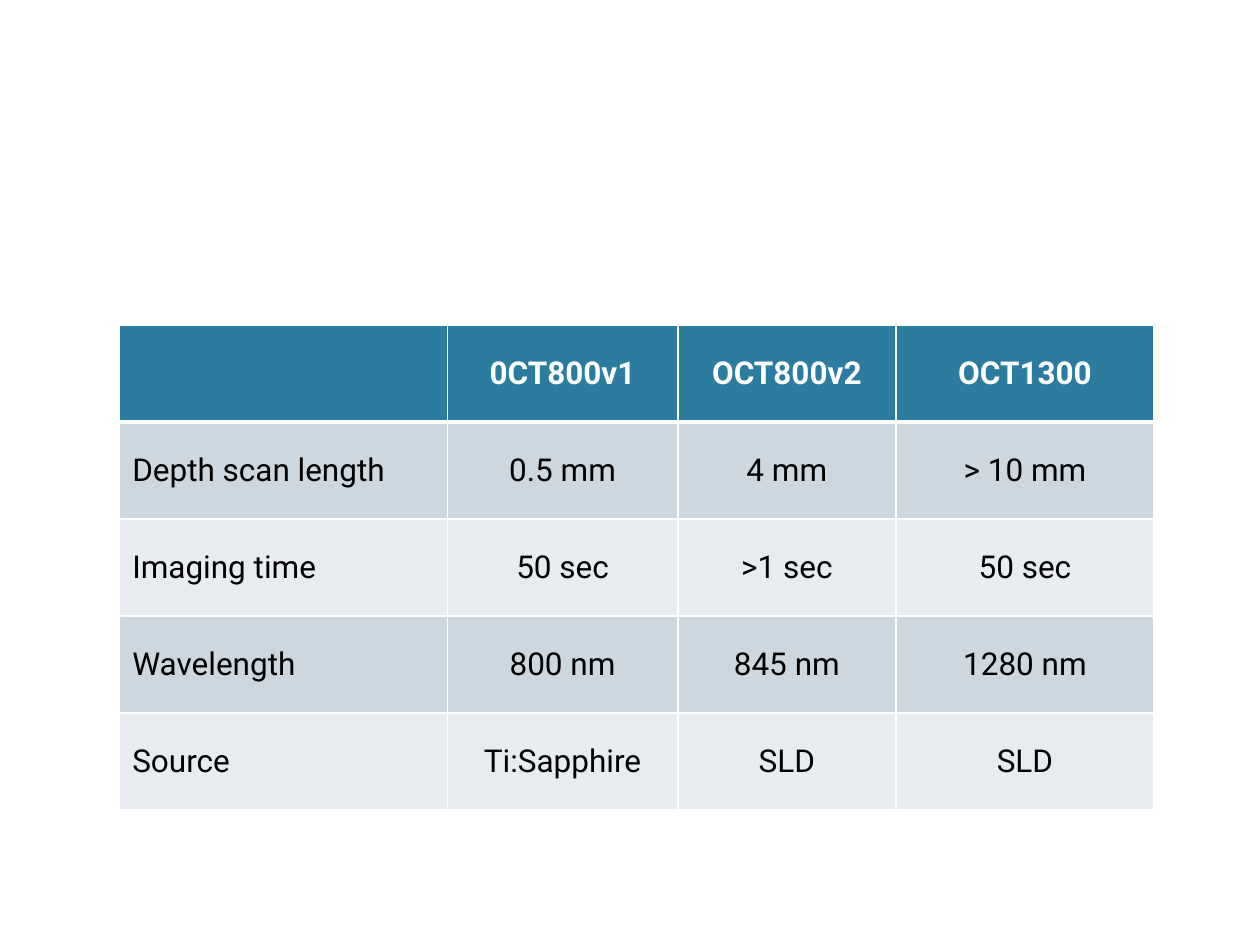
import dataclasses
import pptx
import pptx.dml.color
import pptx.enum.text
import pptx.oxml
import pptx.oxml.ns
import pptx.util
from pptx.util import Inches


@dataclasses.dataclass(frozen=True)
class Theme:
    font: str = "Roboto"
    size: int = 18
    head: str = "2C7C9F"
    bands: tuple = ("CDD7DF", "E8ECF0")
    white: str = "FFFFFF"
    black: str = "000000"
    thin: int = 1
    thick: int = 3


THEME = Theme()
WIDTHS = (2.6, 1.83, 1.73, 2.05)
HEIGHT = 0.77
ROWS = (
    ("", "0CT800v1", "OCT800v2", "OCT1300"),
    ("Depth scan length", "0.5 mm", "4 mm", "> 10 mm"),
    ("Imaging time", "50 sec", ">1 sec", "50 sec"),
    ("Wavelength", "800 nm", "845 nm", "1280 nm"),
    ("Source", "Ti:Sapphire", "SLD", "SLD"),
)


def color(code):
    return pptx.dml.color.RGBColor.from_string(code)


def add_edge(cell, side, width):
    line = pptx.oxml.parse_xml(
        f'<a:ln{side} {pptx.oxml.ns.nsdecls("a")} w="{pptx.util.Pt(width)}">'
        f'<a:solidFill><a:srgbClr val="{THEME.white}"/></a:solidFill></a:ln{side}>'
    )
    cell._tc.get_or_add_tcPr().append(line)


def add_text(cell, text, head, center):
    cell.vertical_anchor = pptx.enum.text.MSO_ANCHOR.MIDDLE
    para = cell.text_frame.paragraphs[0]
    align = pptx.enum.text.PP_ALIGN
    para.alignment = align.CENTER if center else align.LEFT
    para.font.size = pptx.util.Pt(THEME.size)
    if text:
        run = para.add_run()
        run.text = text
        run.font.name = THEME.font
        run.font.size = pptx.util.Pt(THEME.size)
        run.font.bold = head
        run.font.color.rgb = color(THEME.white if head else THEME.black)


def style_cell(cell, row):
    edges = {side: THEME.thin for side in "LRTB"}
    if row == 0:
        edges["B"] = THEME.thick
    elif row == 1:
        edges["T"] = THEME.thick
    for side, width in edges.items():
        add_edge(cell, side, width)
    cell.fill.solid()
    fill = THEME.bands[(row - 1) % 2] if row else THEME.head
    cell.fill.fore_color.rgb = color(fill)


def add_grid(slide):
    frame = slide.shapes.add_table(
        len(ROWS), len(WIDTHS), Inches(0.95), Inches(2.58),
        Inches(sum(WIDTHS)), Inches(HEIGHT * len(ROWS)),
    )
    table = frame.table
    for col, width in zip(table.columns, WIDTHS):
        col.width = Inches(width)
    for i, texts in enumerate(ROWS):
        table.rows[i].height = Inches(HEIGHT)
        for j, text in enumerate(texts):
            cell = table.cell(i, j)
            style_cell(cell, i)
            add_text(cell, text, i == 0, j > 0)


def main():
    deck = pptx.Presentation()
    deck.slide_width = Inches(10)
    deck.slide_height = Inches(7.5)
    slide = deck.slides.add_slide(deck.slide_layouts[6])
    add_grid(slide)
    deck.save("out.pptx")


if __name__ == "__main__":
    main()
